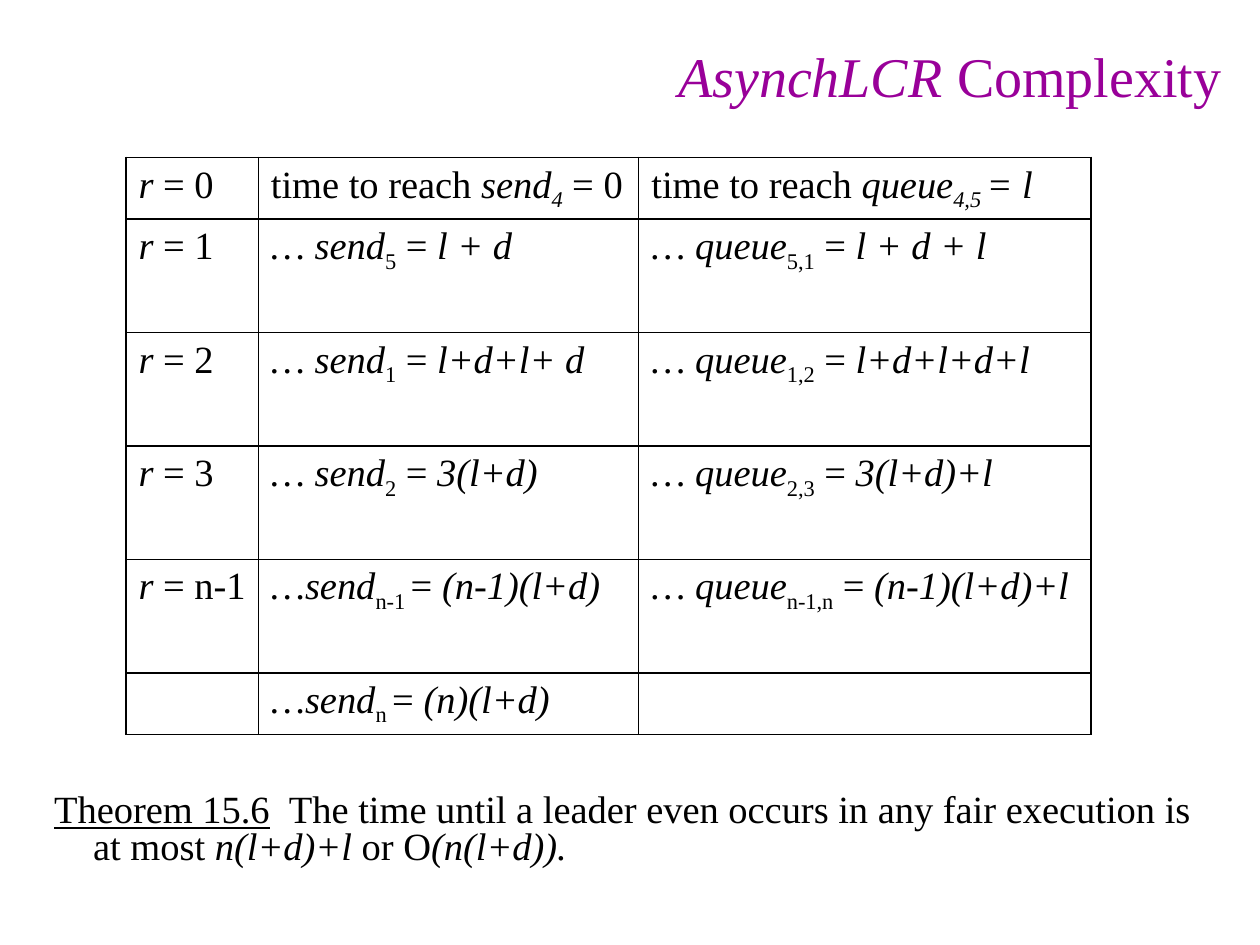
from lxml import etree
from pptx import Presentation
from pptx.dml.color import RGBColor
from pptx.enum.text import MSO_ANCHOR, MSO_AUTO_SIZE, PP_ALIGN
from pptx.oxml.ns import qn
from pptx.util import Inches, Pt

LEFT, CENTER = PP_ALIGN.LEFT, PP_ALIGN.CENTER
TOP, MIDDLE = MSO_ANCHOR.TOP, MSO_ANCHOR.MIDDLE
FIXED = MSO_AUTO_SIZE.NONE
PURPLE = RGBColor(0x99, 0x00, 0x99)
BLACK = RGBColor(0, 0, 0)
FONT = "Times New Roman"
THICK, THIN = 1.08, 0.45

# Each run is (text, marks): i italic, u underlined, s subscript
TITLE = [("AsynchLCR", "i"), (" Complexity", "")]
THEOREM = [
    ("Theorem 15.6", "u"),
    ("  ", "i"),
    ("The time until a leader even occurs in any fair execution is at most", ""),
    (" n(l+d)+l ", "i"),
    ("or O", ""),
    ("(n(l+d)).", "i"),
]


def turn(value):
    return [("r", "i"), (f" = {value}", "")]


def step(name, sub, equals, time):
    return [(name, "i"), (sub, "s"), (equals, ""), (time, "i")]


ROWS = [
    [turn("0"),
     [("time to reach ", ""), ("send", "i"), ("4", "is"), (" = 0", "")],
     [("time to reach ", ""), ("queue", "i"), ("4,5 ", "is"), ("= l", "i")]],
    [turn("1"), step("… send", "5", " = ", "l + d"),
     step("… queue", "5,1", " = ", "l + d + l")],
    [turn("2"), step("… send", "1", " = ", "l+d+l+ d"),
     step("… queue", "1,2", " = ", "l+d+l+d+l")],
    [turn("3"), step("… send", "2", " = ", "3(l+d)"),
     step("… queue", "2,3", " = ", "3(l+d)+l")],
    [turn("n-1"), step("…send", "n-1 ", "= ", "(n-1)(l+d)"),
     step("… queue", "n-1,n", " = ", "(n-1)(l+d)+l")],
    [[], step("…send", "n ", "= ", "(n)(l+d)"), []],
]
WIDTHS = [1.05, 3.02, 3.59]
HEIGHTS = [0.49] + [0.9] * 4 + [0.49]


def write(para, runs, size, color, **format):
    for key, value in format.items():
        setattr(para, key, value)
    for text, marks in runs:
        run = para.add_run()
        run.text = text
        font = run.font
        font.name, font.size = FONT, Pt(size)
        font.italic, font.underline = "i" in marks, "u" in marks
        font.color.rgb = color
        if "s" in marks:
            run._r.get_or_add_rPr().set("baseline", "-25000")


def place(shape, box, anchor):
    shape.left, shape.top, shape.width, shape.height = map(Inches, box)
    frame = shape.text_frame
    frame.word_wrap, frame.auto_size = True, FIXED
    frame.vertical_anchor = anchor
    return frame.paragraphs[0]


def border(cell, sides):
    props = cell._tc.get_or_add_tcPr()
    for side, width in sides.items():
        line = etree.SubElement(props, qn(f"a:ln{side}"), w=str(Pt(width)))
        fill = etree.SubElement(line, qn("a:solidFill"))
        etree.SubElement(fill, qn("a:srgbClr"), val=str(BLACK))


def build():
    deck = Presentation()
    deck.slide_width, deck.slide_height = Inches(10), Inches(7.5)
    slide = deck.slides.add_slide(deck.slide_layouts[1])
    title, body = slide.placeholders

    para = place(title, (5.25, 0.25, 4.58, 0.7), MIDDLE)
    write(para, TITLE, 32, PURPLE, alignment=CENTER)

    para = place(body, (0.33, 6.25, 9.33, 0.83), TOP)
    write(para, THEOREM, 22, BLACK, alignment=LEFT, line_spacing=0.8,
          space_before=Pt(5.5))
    props = para._p.get_or_add_pPr()
    props.set("marL", str(Inches(0.31)))
    props.set("indent", str(Inches(-0.31)))
    etree.SubElement(props, qn("a:buNone"))

    table = slide.shapes.add_table(
        len(ROWS), len(WIDTHS), Inches(1), Inches(1.25),
        Inches(sum(WIDTHS)), Inches(sum(HEIGHTS))).table
    table.first_row = table.horz_banding = False
    for column, width in zip(table.columns, WIDTHS):
        column.width = Inches(width)
    last = len(WIDTHS) - 1
    for row, height, cells in zip(table.rows, HEIGHTS, ROWS):
        row.height = Inches(height)
        for col, (cell, runs) in enumerate(zip(row.cells, cells)):
            border(cell, {"L": THIN if col else THICK,
                          "R": THICK if col == last else THIN,
                          "T": THICK, "B": THICK})
            cell.fill.background()
            write(cell.text_frame.paragraphs[0], runs, 22, BLACK,
                  space_before=Pt(5.5))

    deck.save("out.pptx")


if __name__ == "__main__":
    build()
